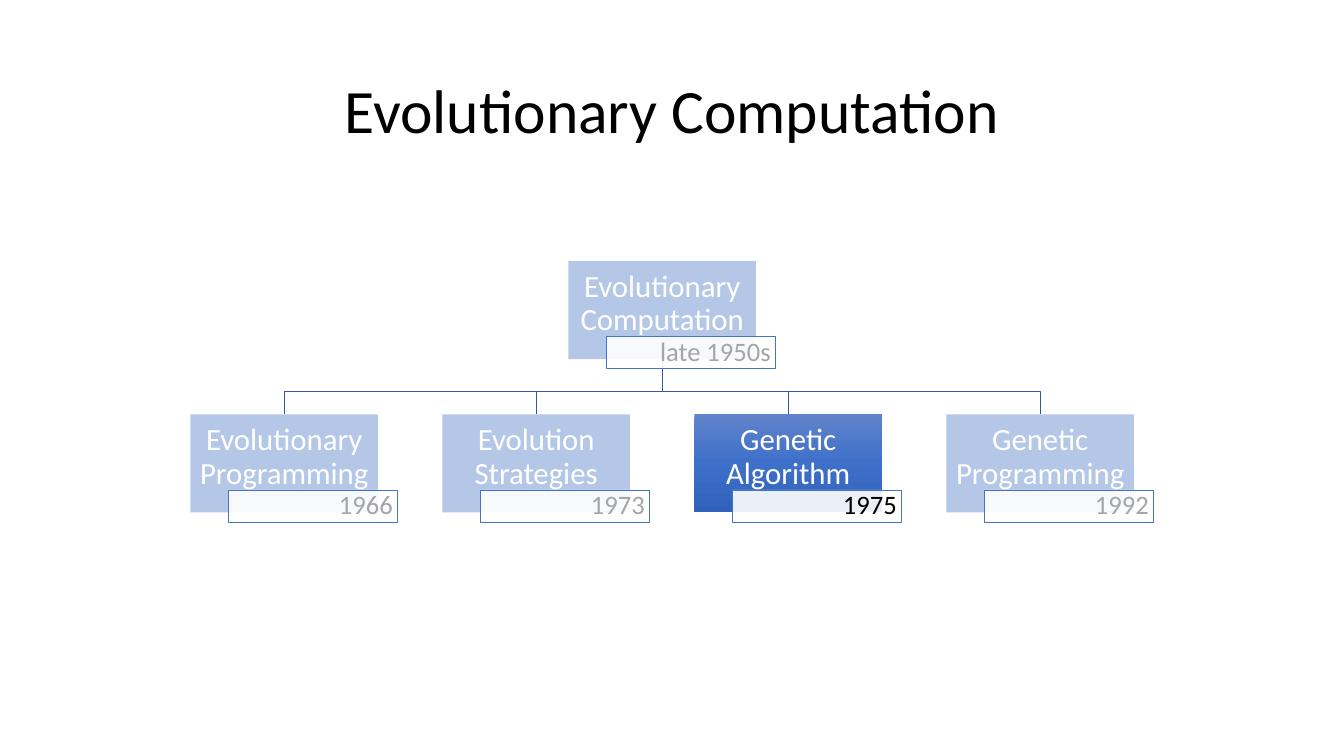
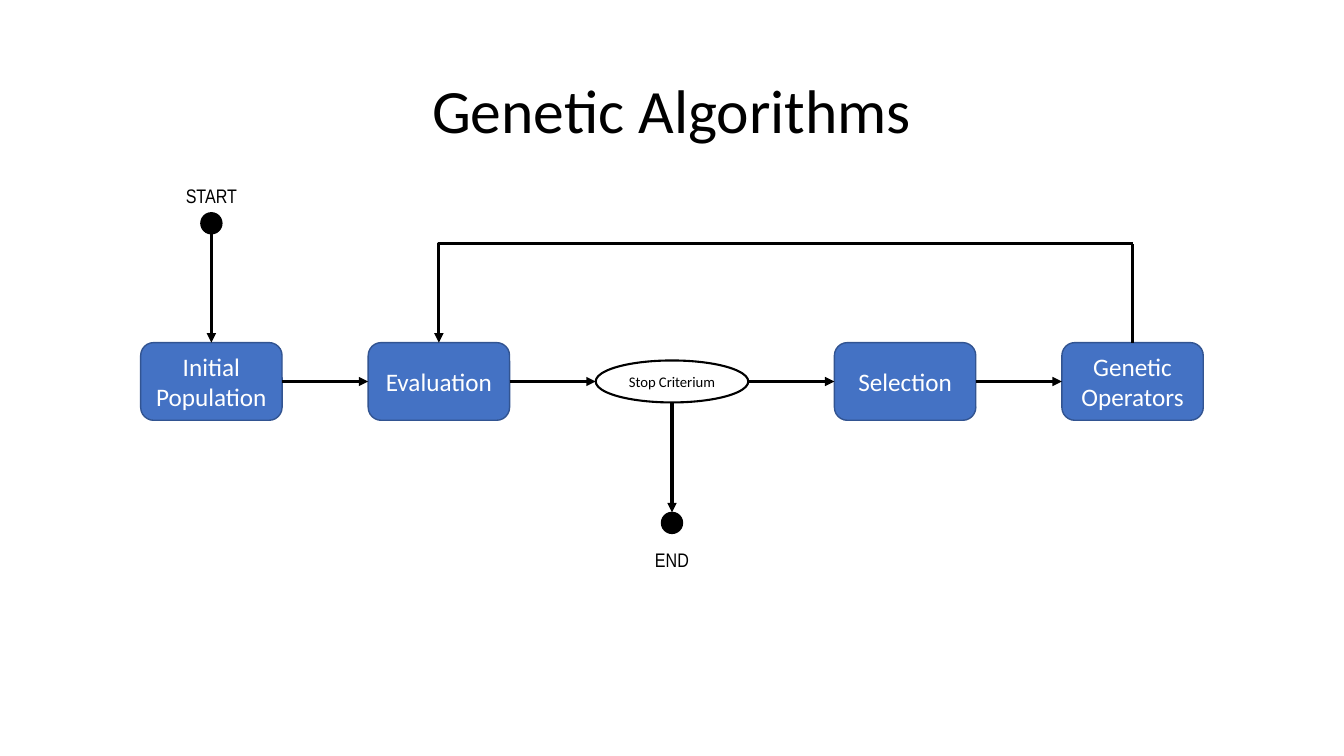
from copy import deepcopy
from itertools import pairwise

from lxml.etree import SubElement
from pptx import Presentation
from pptx.dml.color import RGBColor
from pptx.enum.shapes import MSO_CONNECTOR as CONN, MSO_SHAPE as SHAPE
from pptx.enum.text import MSO_ANCHOR as ANCHOR, PP_ALIGN as ALIGN
from pptx.oxml.ns import qn
from pptx.util import Pt

BLACK, WHITE, BLUE = "000000", "FFFFFF", "4472C4"
PALE, GREY = "B4C7E7", "A5A5A5"
TREE_LINE, BOX_LINE = "365B9D", "325491"
GLOW = ("6183CB", "3E70CA", "3062BB")
FONT, LABEL_FONT = "Calibri", "Arial Narrow"

NODE_W, NODE_H = 134, 70
TAG_X, TAG_Y, TAG_W, TAG_H = 27, 54, 121, 23


def rgb(color):
    return RGBColor.from_string(color)


def write(shape, text, size, color, font=FONT, align=ALIGN.CENTER,
          anchor=ANCHOR.MIDDLE, spacing=None, insets=None):
    tf = shape.text_frame
    tf.text = text
    tf.vertical_anchor = anchor
    if insets:
        tf.margin_left, tf.margin_top, tf.margin_right, tf.margin_bottom = map(Pt, insets)
    p = tf.paragraphs[0]
    p.alignment = align
    p.line_spacing = spacing
    r = p.runs[0]
    r.font.name, r.font.size = font, Pt(size)
    r.font.color.rgb = rgb(color)


def add_box(s, kind, x, y, w, h, fill, line=None, weight=1):
    box = s.shapes.add_shape(kind, Pt(x), Pt(y), Pt(w), Pt(h))
    box.shadow.inherit = False
    box.fill.solid()
    box.fill.fore_color.rgb = rgb(fill)
    if line:
        box.line.color.rgb = rgb(line)
        box.line.width = Pt(weight)
    else:
        box.line.fill.background()
    return box


def add_slide(prs, title):
    s = prs.slides.add_slide(prs.slide_layouts[5])
    sp = s.shapes.title
    sp.left, sp.top, sp.width, sp.height = Pt(66), Pt(29), Pt(828), Pt(104)
    write(sp, title, 44, BLACK, spacing=0.9)
    return s


def set_gradient(box, colors):
    box.fill.gradient()
    box.fill.gradient_angle = 270
    stops = box._element.spPr.find(".//" + qn("a:gsLst"))
    stops.insert(1, deepcopy(stops[0]))
    for i, (stop, color) in enumerate(zip(box.fill.gradient_stops, colors)):
        stop.position = i / 2
        stop.color.rgb = rgb(color)


def add_node(s, x, y, name, year, active=False):
    node = add_box(s, SHAPE.RECTANGLE, x, y, NODE_W, NODE_H, PALE)
    if active:
        set_gradient(node, GLOW)
    write(node, name, 22, WHITE, spacing=0.9, insets=(1.5, 1.5, 1.5, 10))
    tag = add_box(s, SHAPE.RECTANGLE, x + TAG_X, y + TAG_Y, TAG_W, TAG_H, WHITE, BLUE, 0.5)
    color = tag._element.spPr.find(qn("a:solidFill"))[0]
    SubElement(color, qn("a:alpha")).set("val", "90000")
    write(tag, year, 19, BLACK if active else GREY, align=ALIGN.RIGHT,
          spacing=0.9, insets=(3.5, 1, 3.5, 1))


def add_branch(s, x1, y1, x2, y2):
    bend = y2 - 16.5
    fb = s.shapes.build_freeform(Pt(x1), Pt(y1))
    fb.add_line_segments([(Pt(x), Pt(y)) for x, y in ((x1, bend), (x2, bend), (x2, y2))],
                         close=False)
    branch = fb.convert_to_shape()
    branch.shadow.inherit = False
    branch.fill.background()
    branch.line.color.rgb = rgb(TREE_LINE)
    branch.line.width = Pt(0.5)


def add_tree(s, x, y, w, h, root, children):
    step = (w - TAG_X - TAG_W) / (len(children) - 1)
    lefts = [x + i * step for i in range(len(children))]
    root_x = (lefts[0] + lefts[-1]) / 2
    child_y = y + h - TAG_Y - TAG_H
    half = NODE_W / 2
    for left in lefts:
        add_branch(s, root_x + half, y + NODE_H, left + half, child_y)
    add_node(s, root_x, y, *root)
    for left, child in zip(lefts, children):
        add_node(s, left, child_y, *child)


def side_point(shape, side):
    fx, fy = ((0.5, 0), (0, 0.5), (0.5, 1), (1, 0.5))[side]
    return int(shape.left + shape.width * fx), int(shape.top + shape.height * fy)


def add_line(s, start, end, kind=CONN.STRAIGHT, head=True):
    line = s.shapes.add_connector(kind, *start, *end)
    line.line.color.rgb = rgb(BLACK)
    line.line.width = Pt(2.25)
    spPr = line._element.spPr
    if head:
        SubElement(spPr.find(qn("a:ln")), qn("a:tailEnd")).set("type", "triangle")
    SubElement(spPr, qn("a:effectLst"))
    return line


def link(s, a, a_side, b, b_side):
    line = add_line(s, side_point(a, a_side), side_point(b, b_side))
    if a.auto_shape_type != SHAPE.OVAL:
        line.begin_connect(a, a_side)
    if b.auto_shape_type != SHAPE.OVAL:
        line.end_connect(b, b_side)


def add_return(s, a, b, y):
    ax, bx = side_point(a, 0)[0], side_point(b, 0)[0]
    riser = add_line(s, side_point(a, 0), (ax, Pt(y)), head=False)
    riser.begin_connect(a, 0)
    elbow = add_line(s, (ax, Pt(y)), side_point(b, 0), CONN.ELBOW)
    elbow._element.spPr.find(qn("a:prstGeom")).set("prst", "bentConnector2")


def add_terminal(s, cx, dot_y, text, text_y):
    dot = add_box(s, SHAPE.OVAL, cx - 7.5, dot_y, 15, 15, BLACK, BLACK)
    label = s.shapes.add_textbox(Pt(cx - 30), Pt(text_y), Pt(60), Pt(24.5))
    label.text_frame.word_wrap = True
    write(label, text, 14, BLACK, LABEL_FONT, anchor=ANCHOR.TOP)
    return dot


def add_flow(s, x, y, w, h, steps, test):
    box_w, box_h, oval_w, oval_h = 101, 55.5, 109, 30
    mid = y + h / 2
    widths = [oval_w if name == test else box_w for name in steps]
    gap = (w - sum(widths)) / (len(steps) - 1)
    nodes = {}
    left = x
    for name, width in zip(steps, widths):
        if name == test:
            node = add_box(s, SHAPE.OVAL, left, mid - oval_h / 2, width, oval_h,
                           WHITE, BLACK, 1.5)
            write(node, name, 10.5, BLACK, insets=(3, 3, 3, 3))
        else:
            node = add_box(s, SHAPE.ROUNDED_RECTANGLE, left, mid - box_h / 2, width, box_h,
                           BLUE, BOX_LINE)
            write(node, name, 18, WHITE)
        nodes[name] = node
        left += width + gap
    row = list(nodes.values())
    for a, b in pairwise(row):
        link(s, a, 3, b, 1)
    add_return(s, row[-1], row[1], mid - 98.5)
    start = add_terminal(s, row[0].left.pt + box_w / 2, y + 24.5, "START", y)
    link(s, start, 2, row[0], 0)
    oval = nodes[test]
    end = add_terminal(s, oval.left.pt + oval_w / 2, mid + 93.5, "END", mid + 115)
    link(s, oval, 2, end, 0)


def main():
    prs = Presentation()
    prs.slide_width, prs.slide_height = Pt(960), Pt(540)

    s = add_slide(prs, "Evolutionary Computation")
    add_tree(s, 136, 186.5, 688, 186.5, ("Evolutionary Computation", "late 1950s"), [
        ("Evolutionary Programming", "1966"),
        ("Evolution Strategies", "1973"),
        ("Genetic Algorithm", "1975", True),
        ("Genetic Programming", "1992"),
    ])

    s = add_slide(prs, "Genetic Algorithms")
    add_flow(s, 100.5, 127.5, 759, 290,
             ["Initial Population", "Evaluation", "Stop Criterium",
              "Selection", "Genetic Operators"], "Stop Criterium")

    prs.save("out.pptx")


if __name__ == "__main__":
    main()
